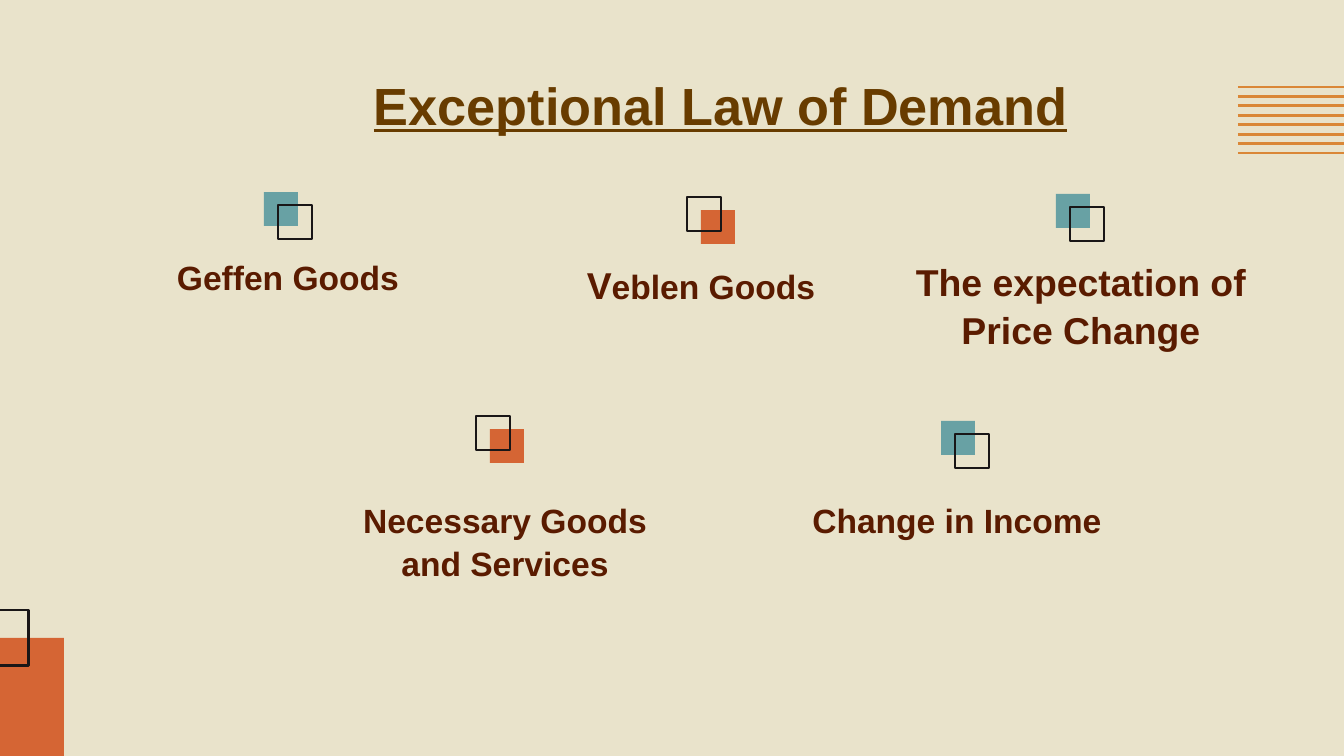
from pptx import Presentation
from pptx.dml.color import RGBColor
from pptx.enum.shapes import MSO_CONNECTOR, MSO_SHAPE
from pptx.enum.text import MSO_ANCHOR, MSO_AUTO_SIZE, PP_ALIGN
from pptx.oxml.ns import qn
from pptx.util import Emu, Inches, Pt
from lxml.etree import SubElement

COLORS = {
    "paper": "E9E3CB", "title": "683C00", "label": "5A1B00", "stripe": "DA8737",
    "teal": "68A1A4", "orange": "D56534", "ink": "191617",
}
TITLE_FONT = {"name": "Arial", "bold": True, "underline": True, "size": Pt(28)}
LABEL_FONT = {"name": "Arial", "bold": True}
FRAME = {"word_wrap": True, "auto_size": MSO_AUTO_SIZE.NONE, **{
    f"margin_{side}": Inches(0.1) for side in ("left", "top", "right", "bottom")}}
PARAGRAPH = {"alignment": PP_ALIGN.CENTER, "line_spacing": 1.07,
             "space_before": Pt(0), "space_after": Pt(8)}
ITEMS = [
    ((106, 241, 364, 62), [("Geffen Goods", 18)], (264, 192), "teal"),
    ((519, 246, 364, 62), [("V", 20), ("eblen Goods", 18)], (687, 197), "orange"),
    ((899, 243, 364, 62), [("The expectation of Price Change", 20)], (1056, 194), "teal"),
    ((323, 484, 364, 62), [("Necessary Goods and Services", 18)], (476, 416), "orange"),
    ((775, 484, 364, 62), [("Change in Income", 18)], (941, 421), "teal"),
]


def px(n):
    """Turn px into EMU."""
    return Emu(round(n * 914400 / 134.4))


def rgb(name):
    """Look up a colour by name."""
    return RGBColor.from_string(COLORS[name])


def assign(obj, values):
    """Set each attribute in values on obj."""
    for key, value in values.items():
        setattr(obj, key, value)


def write(sp, runs, font, color, anchor):
    """Fill a shape with one centred paragraph of (text, size) runs."""
    tf = sp.text_frame
    assign(tf, {**FRAME, "vertical_anchor": anchor})
    p = tf.paragraphs[0]
    assign(p, PARAGRAPH)
    for text, size in runs:
        r = p.add_run()
        r.text = text
        assign(r.font, {**font, "size": Pt(size)})
        r.font.color.rgb = rgb(color)


def add_box(shapes, box, fill=None):
    """Add a filled rectangle, or an ink outline when no fill is given."""
    sp = shapes.add_shape(MSO_SHAPE.RECTANGLE, *map(px, box))
    sp.shadow.inherit = False
    if fill:
        sp.fill.solid()
        sp.fill.fore_color.rgb = rgb(fill)
        sp.line.fill.background()
    else:
        sp.fill.background()
        sp.line.color.rgb = rgb("ink")
        sp.line.width = Pt(1.5)


def add_stripes(s, x, y, w, h, count=8):
    """Draw evenly spaced horizontal stripes in the given box."""
    shapes = s.shapes.add_group_shape().shapes
    for i in range(count):
        top = px(y + i * h / (count - 1))
        line = shapes.add_connector(MSO_CONNECTOR.STRAIGHT, px(x), top, px(x + w), top)
        line.line.color.rgb = rgb("stripe")
        line.line.width = Pt(1.5)
        SubElement(line._element.spPr, qn("a:effectLst"))


def add_corner(s, x, y):
    """Draw the corner block with its overlapping outline."""
    shapes = s.shapes.add_group_shape().shapes
    add_box(shapes, (x, y, 64, 124), "orange")
    add_box(shapes, (x - 27, y - 28, 56, 56))


def add_title(s, x, y, w, h):
    """Place and format the slide title."""
    sp = s.shapes.title
    assign(sp, dict(zip(("left", "top", "width", "height"), map(px, (x, y, w, h)))))
    write(sp, [("Exceptional Law of Demand", 28)], TITLE_FONT, "title", MSO_ANCHOR.MIDDLE)


def add_icon(s, x, y, color, size=34):
    """Draw a filled square overlapped by an outlined one."""
    shapes = s.shapes.add_group_shape().shapes
    first, second = (x, y, size, size), (x + 14, y + 13, size, size)
    fill, outline = (first, second) if color == "teal" else (second, first)
    add_box(shapes, fill, color)
    add_box(shapes, outline)


def add_item(s, box, runs, icon, color):
    """Place one exception: its icon and label."""
    add_icon(s, *icon, color)
    sp = s.shapes.add_textbox(*map(px, box))
    write(sp, runs, LABEL_FONT, "label", MSO_ANCHOR.TOP)


def main():
    """Build and save the slide."""
    prs = Presentation()
    prs.slide_width, prs.slide_height = px(1344), px(756)
    s = prs.slides.add_slide(prs.slide_layouts[5])
    s.background.fill.solid()
    s.background.fill.fore_color.rgb = rgb("paper")
    add_stripes(s, 1238, 87, 370, 66)
    add_corner(s, 0, 638)
    add_title(s, 222, 48, 997, 108)
    for item in ITEMS:
        add_item(s, *item)
    prs.save("out.pptx")


if __name__ == "__main__":
    main()
